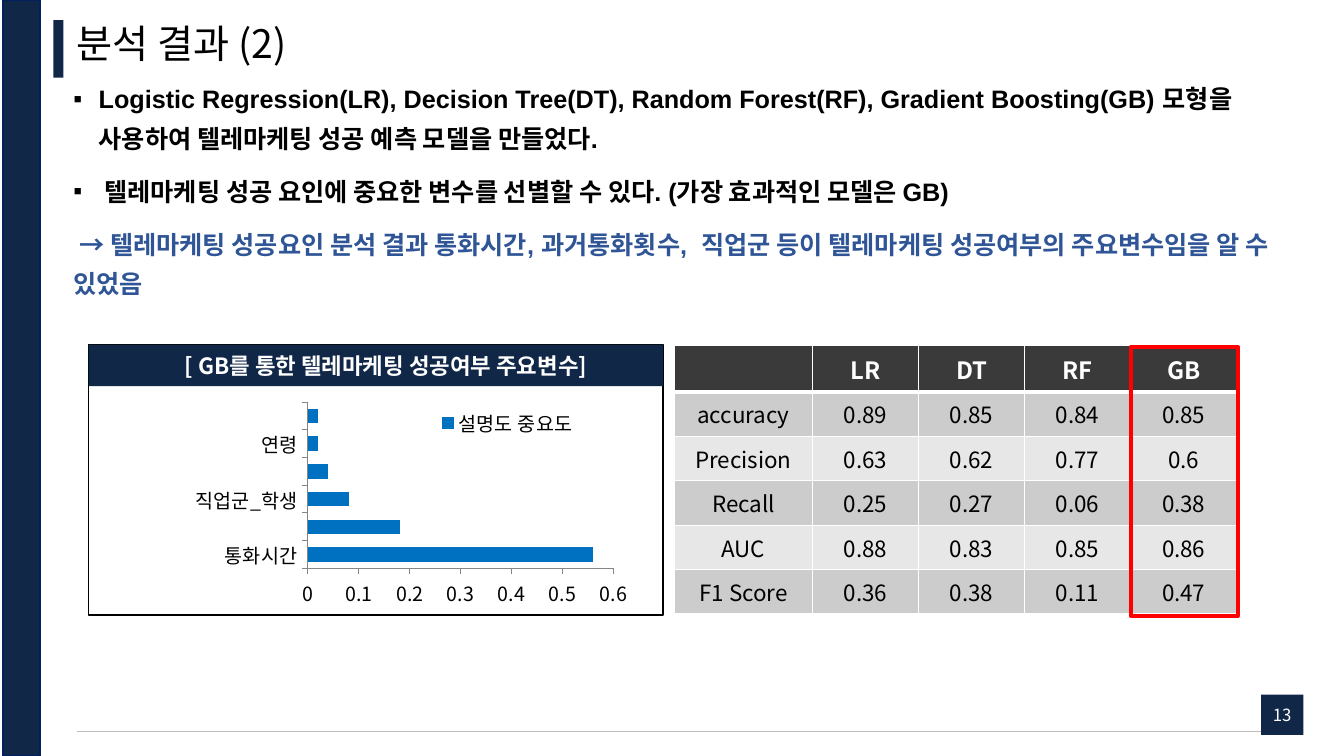
from lxml.etree import SubElement
from pptx import Presentation
from pptx.chart.data import CategoryChartData
from pptx.dml.color import RGBColor
from pptx.enum.chart import XL_CHART_TYPE, XL_LEGEND_POSITION, XL_TICK_MARK
from pptx.enum.shapes import MSO_CONNECTOR, MSO_SHAPE
from pptx.enum.text import MSO_ANCHOR, PP_ALIGN
from pptx.oxml import parse_xml
from pptx.oxml.ns import nsdecls, qn
from pptx.util import Inches, Pt

WIDE, HIGH = 13.333, 7.5
FONT = "Noto Sans CJK KR"
HUES = {"navy": "102747", "edge": "002060", "rule": "BFBFBF", "blue": "2F5597",
        "bar": "0070C0", "axis": "868686", "black": "000000", "white": "FFFFFF",
        "head": "3A3A3A", "odd": "CCCCCC", "even": "E7E7E7", "red": "FF0000"}
POINTS = [
    ("Logistic Regression(LR), Decision Tree(DT), Random Forest(RF), Gradient Boosting(GB) "
     "모형을 사용하여 텔레마케팅 성공 예측 모델을 만들었다.", "black", True),
    (" 텔레마케팅 성공 요인에 중요한 변수를 선별할 수 있다. (가장 효과적인 모델은 GB)", "black", True),
    (" → 텔레마케팅 성공요인 분석 결과 통화시간, 과거통화횟수,  직업군 등이 텔레마케팅 "
     "성공여부의 주요변수임을 알 수 있었음", "blue", False)]
FACTORS = {"통화시간": 0.56, "과거통화횟수": 0.18, "직업군_학생": 0.08,
           "contact_유선전화": 0.04, "연령": 0.02, "학력_대졸학사": 0.02}
SCORES = [("", "LR", "DT", "RF", "GB"),
          ("accuracy", "0.89", "0.85", "0.84", "0.85"),
          ("Precision", "0.63", "0.62", "0.77", "0.6"),
          ("Recall", "0.25", "0.27", "0.06", "0.38"),
          ("AUC", "0.88", "0.83", "0.85", "0.86"),
          ("F1 Score", "0.36", "0.38", "0.11", "0.47")]


def hue(name):
    """Return a palette colour."""
    return RGBColor.from_string(HUES[name])


def across(share):
    """Turn a percentage of the slide's width into a length."""
    return Inches(WIDE * share / 100)


def down(share):
    """Turn a percentage of the slide's height into a length."""
    return Inches(HIGH * share / 100)


def area(left, top, width, height):
    """Turn percentages of the slide into a box."""
    return across(left), down(top), across(width), down(height)


def write(para, text, size, tint="black", bold=False, face=FONT, align=PP_ALIGN.CENTER):
    """Add one formatted run to a paragraph."""
    para.alignment = align
    run = para.add_run()
    run.text = text
    font = run.font
    font.size, font.bold, font.name = Pt(size), bold, face
    font.color.rgb = hue(tint)
    SubElement(run._r.get_or_add_rPr(), qn("a:ea"), typeface=FONT)


def block(slide, box, fill=None, line=None, width=1):
    """Add a rectangle with an optional fill and outline."""
    shape = slide.shapes.add_shape(MSO_SHAPE.RECTANGLE, *area(*box))
    shape.shadow.inherit = False
    if fill:
        shape.fill.solid()
        shape.fill.fore_color.rgb = hue(fill)
    else:
        shape.fill.background()
    if line:
        shape.line.color.rgb = hue(line)
        shape.line.width = Pt(width)
    else:
        shape.line.fill.background()
    return shape


def rule(slide, left, right, top):
    """Add a level grey line."""
    line = slide.shapes.add_connector(
        MSO_CONNECTOR.STRAIGHT, across(left), down(top), across(right), down(top))
    line.line.color.rgb = hue("rule")
    line.line.width = Pt(1)
    SubElement(line._element.spPr, qn("a:effectLst"))


def title(slide, text, box):
    """Place and format the title."""
    shape = slide.shapes.title
    shape.left, shape.top, shape.width, shape.height = area(*box)
    frame = shape.text_frame
    frame.margin_left = frame.margin_right = frame.margin_top = frame.margin_bottom = 0
    frame.vertical_anchor = MSO_ANCHOR.MIDDLE
    para = frame.paragraphs[0]
    para.line_spacing = 0.9
    write(para, text, 28, align=PP_ALIGN.LEFT)


def textbox(slide, box):
    """Add a wrapping text box and return its frame."""
    frame = slide.shapes.add_textbox(*area(*box)).text_frame
    frame.word_wrap = True
    return frame


def points(slide, box):
    """Add the findings with their bullets."""
    frame = textbox(slide, box)
    for spot, (text, tint, mark) in enumerate(POINTS):
        para = frame.add_paragraph() if spot else frame.paragraphs[0]
        para.line_spacing, para.space_before = 1.3, Pt(10)
        write(para, text, 18, tint, True, "Arial", PP_ALIGN.LEFT)
        if mark:
            props = para._p.get_or_add_pPr()
            props.set("marL", str(Inches(0.25)))
            props.set("indent", str(-Inches(0.25)))
            SubElement(props, qn("a:buFont"), typeface="Arial")
            SubElement(props, qn("a:buChar"), char="▪")


def layout(node, spot, box, inner=False):
    """Fix the place of a chart part as shares of the chart."""
    for old in node.findall(qn("c:layout")):
        node.remove(old)
    target = '<c:layoutTarget val="inner"/>' if inner else ""
    modes = "".join(f'<c:{key}Mode val="edge"/>' for key in "xy")
    sizes = "".join(f'<c:{key} val="{size}"/>' for key, size in zip("xywh", box))
    node.insert(spot, parse_xml(
        f'<c:layout {nsdecls("c")}><c:manualLayout>{target}{modes}{sizes}'
        '</c:manualLayout></c:layout>'))


def bars(slide, box):
    """Add the chart of factor weights."""
    data = CategoryChartData()
    data.categories = list(FACTORS)
    data.add_series("설명도 중요도", list(FACTORS.values()))
    chart = slide.shapes.add_chart(XL_CHART_TYPE.BAR_STACKED, *area(*box), data).chart
    chart.has_title = False
    chart.font.size, chart.font.name = Pt(14), FONT
    chart.font.color.rgb = hue("black")
    plot = chart.plots[0]
    plot.gap_width, plot.overlap, plot.vary_by_categories = 91, 100, False
    fill = plot.series[0].format.fill
    fill.solid()
    fill.fore_color.rgb = hue("bar")
    for axis in (chart.category_axis, chart.value_axis):
        axis.has_major_gridlines = False
        axis.major_tick_mark = XL_TICK_MARK.OUTSIDE
        axis.format.line.color.rgb = hue("axis")
    axis = chart.value_axis
    axis.minimum_scale, axis.maximum_scale, axis.major_unit = 0, 0.6, 0.1
    axis.tick_labels.number_format = "General"
    axis.tick_labels.number_format_is_linked = False
    chart.has_legend = True
    legend = chart.legend
    legend.position = XL_LEGEND_POSITION.RIGHT
    legend.include_in_layout = False
    layout(chart._chartSpace.chart.plotArea, 0, (0.29, 0.07, 0.49, 0.72), True)
    layout(legend._element, 1, (0.48, 0.09, 0.26, 0.14))


def border(cell, low):
    """Draw white borders round a cell."""
    props = cell._tc.get_or_add_tcPr()
    for spot, side in enumerate("LRTB"):
        width = Pt(low if side == "B" else 1)
        props.insert(spot, parse_xml(
            f'<a:ln{side} {nsdecls("a")} w="{width}"><a:solidFill>'
            f'<a:srgbClr val="{HUES["white"]}"/></a:solidFill></a:ln{side}>'))


def scores(slide, box):
    """Add the table of model scores."""
    grid = slide.shapes.add_table(len(SCORES), len(SCORES[0]), *area(*box)).table
    for spot, col in enumerate(grid.columns):
        col.width = across(7.89 if spot else 10.28)
    for row, texts in enumerate(SCORES):
        grid.rows[row].height = down(5.87 if row else 6.13)
        tint = ("even", "odd")[row % 2] if row else "head"
        for col, text in enumerate(texts):
            cell = grid.cell(row, col)
            cell.vertical_anchor = MSO_ANCHOR.MIDDLE
            cell.fill.solid()
            cell.fill.fore_color.rgb = hue(tint)
            border(cell, 1 if row else 3)
            if text:
                write(cell.text_frame.paragraphs[0], text, 16 if row else 17,
                      "black" if row else "white", not row)


def main():
    """Build and save the slide."""
    deck = Presentation()
    deck.slide_width, deck.slide_height = Inches(WIDE), Inches(HIGH)
    slide = deck.slides.add_slide(deck.slide_layouts[5])
    block(slide, (0.22, 0, 2.78, 100), "navy", "edge", 1.5)
    title(slide, "분석 결과 (2)", (5.7, 3.2, 92.33, 5.6))
    block(slide, (3.98, 2.67, 0.75, 7.6), "navy")
    points(slide, (4.73, 9.2, 90.45, 15.33))
    rule(slide, 5.7, 96.98, 96.8)
    page = block(slide, (93.83, 91.87, 3.15, 5.33), "navy").text_frame
    page.word_wrap, page.vertical_anchor = False, MSO_ANCHOR.MIDDLE
    write(page.paragraphs[0], "13", 12, "white")
    block(slide, (6.6, 45.6, 42.75, 35.73), "white", "black")
    block(slide, (6.6, 45.6, 42.75, 5.47), "navy")
    label = textbox(slide, (7.35, 45.87, 42.75, 4.93))
    write(label.paragraphs[0], "[ GB를 통한 텔레마케팅 성공여부 주요변수]", 16, "white", True)
    bars(slide, (9.45, 51.07, 46.43, 30.53))
    scores(slide, (50.18, 45.73, 41.85, 35.33))
    block(slide, (84.15, 45.87, 7.95, 35.6), line="red", width=3)
    deck.save("out.pptx")


if __name__ == "__main__":
    main()
